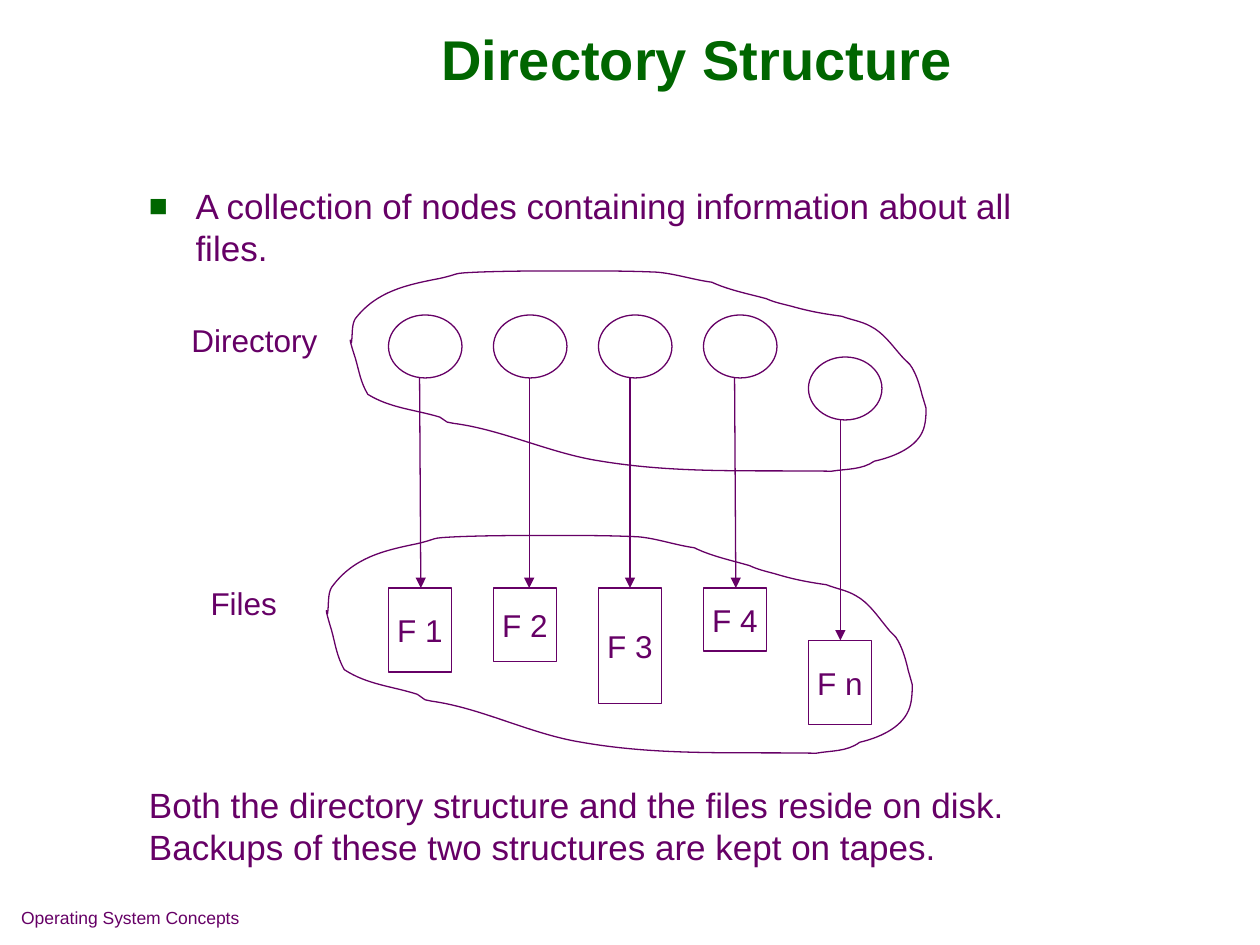
import dataclasses
import typing

import lxml.etree
import pptx
import pptx.dml.color
import pptx.enum.shapes
import pptx.enum.text
import pptx.oxml.ns
import pptx.util

Inches = pptx.util.Inches
Pt = pptx.util.Pt
qn = pptx.oxml.ns.qn
RGB = pptx.dml.color.RGBColor.from_string
Align = pptx.enum.text.PP_ALIGN
Anchor = pptx.enum.text.MSO_ANCHOR
Shape = pptx.enum.shapes.MSO_SHAPE
Point = tuple[float, float]


@dataclasses.dataclass(frozen=True)
class Theme:
    font: str = "Arial"
    ink: str = "660066"
    accent: str = "006600"
    paper: str = "FFFFFF"
    title: int = 32
    body: int = 20
    label: int = 18
    footer: int = 10
    line: float = 0.75


@dataclasses.dataclass(frozen=True)
class Box:
    x: float
    y: float
    w: float
    h: float


GRID = 1 / 12
FIRST_X, PITCH = 37 * GRID, 10 * GRID
NODE_W, NODE_H, FILE_W = 7 * GRID, 6 * GRID, 6 * GRID
TEXT_X, TEXT_W, TEXT_H = 13 * GRID, 7.69, 5 * GRID


@dataclasses.dataclass(frozen=True)
class Entry:
    name: str
    height: float
    arrow_start: float
    arrow_end: float
    node_y: float = 30 * GRID
    file_y: float = 56 * GRID


THEME = Theme()
ENTRIES = [
    Entry("F 1", 8 * GRID, 3.33, 3.34),
    Entry("F 2", 7 * GRID, 4.2, 4.2),
    Entry("F 3", 11 * GRID, 5, 5),
    Entry("F 4", 6 * GRID, 5.83, 5.84),
    Entry("F n", 8 * GRID, 6.67, 6.67, 34 * GRID, 61 * GRID),
]
DIRECTORY_AREA = Box(2.78, 2.15, 4.58, 1.61)
FILES_AREA = Box(2.59, 4.25, 4.66, 1.75)
CLOUD = [
    (2.79, 2.72),
    (2.8, 2.65), (2.79, 2.58), (2.82, 2.53), (2.99, 2.31), (3.23, 2.26), (3.49, 2.21),
    (3.67, 2.17), (3.57, 2.17), (3.79, 2.16), (4.04, 2.15), (4.29, 2.15), (4.55, 2.15),
    (4.77, 2.15), (4.99, 2.15), (5.21, 2.16), (5.35, 2.17), (5.5, 2.22), (5.65, 2.24),
    (5.78, 2.3), (5.93, 2.33), (6.08, 2.37), (6.15, 2.4), (6.2, 2.41), (6.28, 2.43),
    (6.42, 2.47), (6.53, 2.49), (6.68, 2.51), (6.76, 2.54), (6.84, 2.55), (6.91, 2.59),
    (7.01, 2.64), (7.08, 2.74), (7.15, 2.82), (7.18, 2.86), (7.22, 2.88), (7.24, 2.92),
    (7.28, 2.99), (7.3, 3.06), (7.32, 3.14), (7.33, 3.17), (7.35, 3.24), (7.35, 3.24),
    (7.35, 3.28), (7.35, 3.37), (7.32, 3.43), (7.26, 3.56), (7.08, 3.63), (6.94, 3.66),
    (6.84, 3.73), (6.72, 3.72), (6.6, 3.74), (5.96, 3.73), (5.38, 3.76), (4.77, 3.66),
    (4.37, 3.6), (3.99, 3.41), (3.6, 3.36), (3.58, 3.36), (3.57, 3.35), (3.55, 3.35),
    (3.53, 3.34), (3.51, 3.32), (3.49, 3.31), (3.29, 3.25), (3.1, 3.24), (2.92, 3.13),
    (2.86, 3.03), (2.85, 2.94), (2.82, 2.84), (2.82, 2.84), (2.78, 2.72), (2.78, 2.7),
    (2.78, 2.69), (2.79, 2.71), (2.79, 2.72),
]


def write(tf: typing.Any, lines: list[str], size: int, color: str = THEME.ink,
          align: Align = Align.LEFT, bold: bool = False) -> None:
    for i, line in enumerate(lines):
        p = tf.add_paragraph() if i else tf.paragraphs[0]
        p.alignment = align
        r = p.add_run()
        r.text = line
        r.font.name, r.font.size, r.font.bold = THEME.font, Pt(size), bold
        r.font.color.rgb = RGB(color)


def add_text(s: typing.Any, box: Box, lines: list[str], size: int, wrap: bool = True,
             anchor: Anchor = Anchor.TOP, **style: typing.Any) -> typing.Any:
    sp = s.shapes.add_textbox(Inches(box.x), Inches(box.y), Inches(box.w), Inches(box.h))
    tf = sp.text_frame
    tf.word_wrap, tf.vertical_anchor = wrap, anchor
    write(tf, lines, size, **style)
    return tf


def add_bullet(p: typing.Any) -> None:
    pPr = p._p.get_or_add_pPr()
    pPr.set("marL", str(Inches(0.37)))
    pPr.set("indent", str(-Inches(0.37)))
    color = lxml.etree.SubElement(pPr, qn("a:buClr"))
    lxml.etree.SubElement(color, qn("a:srgbClr"), val=THEME.accent)
    lxml.etree.SubElement(pPr, qn("a:buSzPct"), val="90000")
    lxml.etree.SubElement(pPr, qn("a:buFont"), typeface=THEME.font)
    lxml.etree.SubElement(pPr, qn("a:buChar"), char="■")


def set_line(sp: typing.Any) -> None:
    sp.line.color.rgb = RGB(THEME.ink)
    sp.line.width = Pt(THEME.line)


def add_outlined(s: typing.Any, kind: Shape, box: Box) -> typing.Any:
    sp = s.shapes.add_shape(kind, Inches(box.x), Inches(box.y), Inches(box.w), Inches(box.h))
    sp.shadow.inherit = False
    sp.fill.solid()
    sp.fill.fore_color.rgb = RGB(THEME.paper)
    set_line(sp)
    return sp


def add_file(s: typing.Any, box: Box, name: str) -> None:
    tf = add_outlined(s, Shape.RECTANGLE, box).text_frame
    tf.word_wrap, tf.vertical_anchor = False, Anchor.MIDDLE
    write(tf, [name], THEME.label, align=Align.CENTER)


def add_arrow(s: typing.Any, start: Point, end: Point) -> None:
    cx = s.shapes.add_connector(pptx.enum.shapes.MSO_CONNECTOR.STRAIGHT,
                                *(Inches(v) for v in (*start, *end)))
    set_line(cx)
    lxml.etree.SubElement(cx.line._get_or_add_ln(), qn("a:tailEnd"), type="triangle")
    lxml.etree.SubElement(cx._element.spPr, qn("a:effectLst"))


def add_cloud(s: typing.Any, box: Box) -> None:
    """Draw the closed cloud of cubic curves, scaled to the box."""
    base = DIRECTORY_AREA
    pts = [(Inches(box.x + (x - base.x) * box.w / base.w),
            Inches(box.y + (y - base.y) * box.h / base.h)) for x, y in CLOUD]
    builder = s.shapes.build_freeform(*pts[0])
    builder.add_line_segments(pts[3::3], close=True)
    sp = builder.convert_to_shape()
    for i, segment in enumerate(list(sp._element.iter(qn("a:lnTo")))):
        curve = lxml.etree.Element(qn("a:cubicBezTo"))
        for x, y in pts[3 * i + 1:3 * i + 4]:
            lxml.etree.SubElement(curve, qn("a:pt"), x=str(x - sp.left), y=str(y - sp.top))
        segment.getparent().replace(segment, curve)
    sp.shadow.inherit = False
    sp.fill.background()
    set_line(sp)


def main() -> None:
    prs = pptx.Presentation()
    prs.slide_width, prs.slide_height = Inches(10), Inches(7.5)
    s = prs.slides.add_slide(prs.slide_layouts[6])
    add_text(s, Box(0.07, 7.15, 3.17, 0.35), ["Operating System Concepts"], THEME.footer)
    add_text(s, Box(1.28, 0, 8.5, 0.92), ["Directory Structure"], THEME.title,
             anchor=Anchor.MIDDLE, color=THEME.accent, align=Align.CENTER, bold=True)
    tf = add_text(s, Box(TEXT_X, 17 * GRID, TEXT_W, TEXT_H),
                  ["A collection of nodes containing information about all files."], THEME.body)
    add_bullet(tf.paragraphs[0])
    columns = [(FIRST_X + i * PITCH, entry) for i, entry in enumerate(ENTRIES)]
    for x, entry in columns:
        add_outlined(s, Shape.OVAL, Box(x, entry.node_y, NODE_W, NODE_H))
    for x, entry in columns:
        add_file(s, Box(x, entry.file_y, FILE_W, entry.height), entry.name)
    for entry in ENTRIES:
        add_arrow(s, (entry.arrow_start, entry.node_y + NODE_H), (entry.arrow_end, entry.file_y))
    for area in (DIRECTORY_AREA, FILES_AREA):
        add_cloud(s, area)
    for name, box in (("Directory", Box(1.42, 2.5, 1.2, 0.4)),
                      ("Files", Box(1.57, 55 * GRID, 0.73, 0.4))):
        add_text(s, box, [name], THEME.label, wrap=False, anchor=Anchor.MIDDLE, align=Align.CENTER)
    add_text(s, Box(TEXT_X, 74 * GRID, TEXT_W, TEXT_H),
             ["Both the directory structure and the files reside on disk.",
              "Backups of these two structures are kept on tapes."], THEME.body)
    prs.save("out.pptx")


if __name__ == "__main__":
    main()
